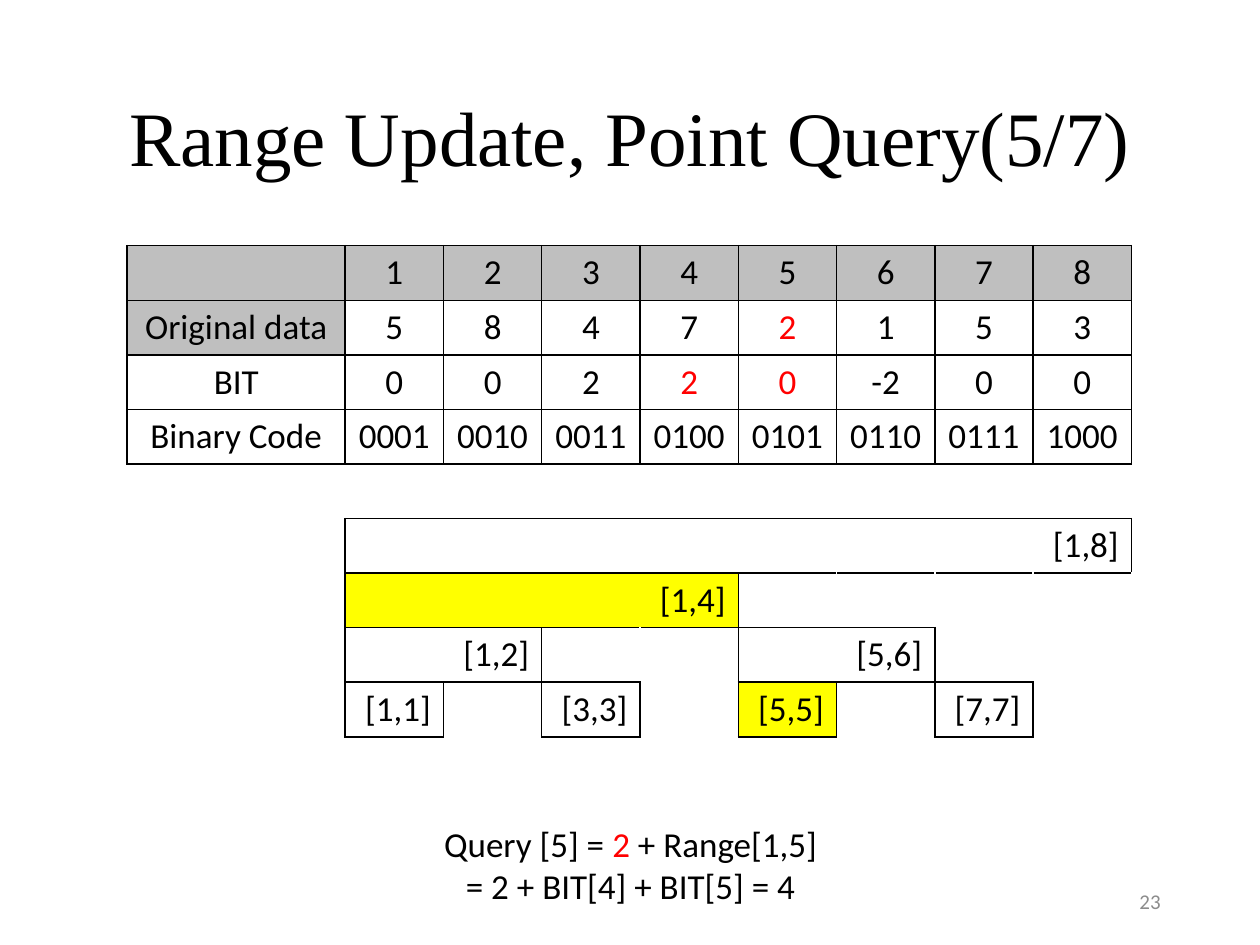
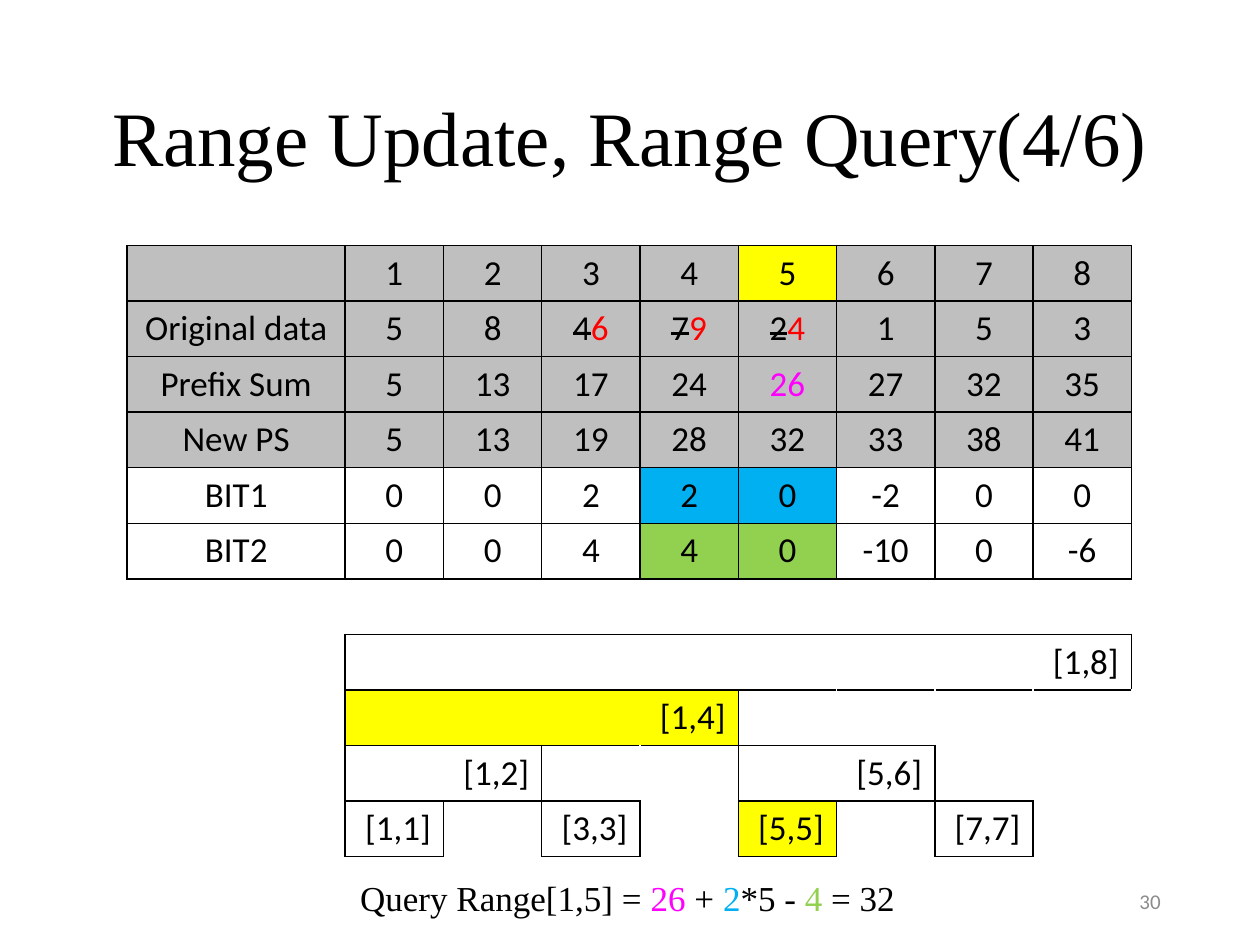
from dataclasses import dataclass

from lxml.etree import SubElement
from pptx import Presentation
from pptx.dml.color import RGBColor
from pptx.enum.text import MSO_ANCHOR, PP_ALIGN
from pptx.oxml.ns import qn
from pptx.util import Inches, Pt


@dataclass(frozen=True)
class Theme:
    black: str = "000000"
    white: str = "FFFFFF"
    grey: str = "BFBFBF"
    number_grey: str = "8C8C8C"
    red: str = "FF0000"
    magenta: str = "FF00FF"
    yellow: str = "FFFF00"
    blue: str = "00B0F0"
    green: str = "92D050"
    serif: str = "Times New Roman"
    sans: str = "Calibri"
    title_size: int = 44
    body_size: int = 20
    number_size: int = 12
    line_width: int = 1


THEME = Theme()
INDICES = "1 2 3 4 5 6 7 8"
N = len(INDICES.split())
LEVELS = N.bit_length()
QUERIED_NODES = {(1, 4), (5, 5)}


class Deck:
    def __init__(self, theme):
        self.theme = theme
        self.prs = Presentation()
        self.prs.slide_width, self.prs.slide_height = Inches(10), Inches(7.5)
        self.slide = None

    def add_slide(self, title, number):
        self.slide = self.prs.slides.add_slide(self.prs.slide_layouts[5])
        heading = self.slide.shapes.title
        heading.left, heading.top = Inches(0.69), Inches(0.4)
        heading.width, heading.height = Inches(8.62), Inches(1.45)
        heading.text_frame.vertical_anchor = MSO_ANCHOR.MIDDLE
        paragraph = heading.text_frame.paragraphs[0]
        paragraph.line_spacing = 0.9
        self.add_runs(paragraph, [(title,)], PP_ALIGN.CENTER,
                      self.theme.title_size, self.theme.serif)
        self.text((7.06, 6.95, 2.25, 0.4), [[(number, self.theme.number_grey)]],
                  PP_ALIGN.RIGHT, self.theme.number_size, anchor=MSO_ANCHOR.MIDDLE)

    def add_runs(self, paragraph, runs, align, size=None, font=None):
        """Each run is (text, colour, struck); the last two are optional."""
        paragraph.alignment = align
        for text, *style in runs:
            run = paragraph.add_run()
            run.text = text
            run.font.size = Pt(size or self.theme.body_size)
            run.font.name = font or self.theme.sans
            colour = style[0] if style else self.theme.black
            run.font.color.rgb = RGBColor.from_string(colour)
            if len(style) > 1 and style[1]:
                run._r.get_or_add_rPr().set("strike", "sngStrike")

    def text(self, box, lines, align, size=None, font=None, wrap=True, anchor=MSO_ANCHOR.TOP):
        frame = self.slide.shapes.add_textbox(*map(Inches, box)).text_frame
        frame.word_wrap = wrap
        frame.vertical_anchor = anchor
        for i, runs in enumerate(lines):
            paragraph = frame.add_paragraph() if i else frame.paragraphs[0]
            self.add_runs(paragraph, runs, align, size, font)

    def cell(self, cell, runs, align, fill):
        cell.margin_top = cell.margin_bottom = Inches(0.03)
        cell.vertical_anchor = MSO_ANCHOR.MIDDLE
        cell.fill.solid()
        cell.fill.fore_color.rgb = RGBColor.from_string(fill)
        self.add_runs(cell.text_frame.paragraphs[0], runs, align)

    def borders(self, cell, colours):
        """Colours go left, right, top, bottom; None means no line."""
        properties = cell._tc.get_or_add_tcPr()
        for i, (side, colour) in enumerate(zip("LRTB", colours)):
            line = SubElement(properties, qn(f"a:ln{side}"), w=str(Pt(self.theme.line_width)))
            if colour:
                SubElement(SubElement(line, qn("a:solidFill")), qn("a:srgbClr"), val=colour)
            else:
                SubElement(line, qn("a:noFill"))
            properties.insert(i, line)

    def index_table(self, height, data, fills, values):
        """Data rows, one gap row, then the tree of ranges in the same columns.

        fills and values override single cells, keyed by (row, column).
        """
        gap = len(data)
        row_count = gap + 1 + LEVELS
        table = self.slide.shapes.add_table(
            row_count, N + 1, Inches(1.01), Inches(1.95), Inches(7.97), Inches(height)).table
        table.first_row = table.horz_banding = False
        for i, column in enumerate(table.columns):
            column.width = Inches(0.78 if i else 1.73)

        # Data rows
        boxed = {(r, c) for r in range(gap) for c in range(N + 1)}
        for r, (label, numbers) in enumerate(data):
            for c, value in enumerate([label, *numbers.split()]):
                runs = values.get((r, c), [(value,)] if value else [])
                self.cell(table.cell(r, c), runs, PP_ALIGN.CENTER,
                          fills.get((r, c), self.theme.white))

        # Tree of ranges: each level halves the range length
        for level in range(LEVELS):
            r, length = gap + 1 + level, N >> level
            for first in range(1, N + 1, 2 * length):
                last = first + length - 1
                boxed |= {(r, c) for c in range(first, last + 1)}
                if length > 1:
                    table.cell(r, first).merge(table.cell(r, last))
                fill = self.theme.yellow if (first, last) in QUERIED_NODES else self.theme.white
                self.cell(table.cell(r, first), [(f"[{first},{last}]",)], PP_ALIGN.RIGHT, fill)

        # Black lines around boxes, white ones between the tree's empty cells
        for r in range(row_count):
            for c in range(N + 1):
                cell = table.cell(r, c)
                if (r, c) not in boxed:
                    self.cell(cell, [], PP_ALIGN.CENTER, self.theme.white)
                empty = self.theme.white if r > gap and c else None
                neighbours = [(r, c - 1), (r, c + 1), (r - 1, c), (r + 1, c)]
                self.borders(cell, [self.theme.black if {(r, c), place} & boxed else empty
                                    for place in neighbours])


def block(rows, columns, fill):
    return {(r, c): fill for r in rows for c in columns}


def point_query(deck):
    t = deck.theme
    deck.add_slide("Range Update, Point Query(5/7)", "23")
    deck.index_table(
        3.9,
        [("", INDICES),
         ("Original data", "5 8 4 7 2 1 5 3"),
         ("BIT", "0 0 2 2 0 -2 0 0"),
         ("Binary Code", " ".join(f"{i:04b}" for i in range(1, N + 1)))],
        block([0], range(N + 1), t.grey) | {(1, 0): t.grey},
        {(1, 5): [("2", t.red)], (2, 4): [("2", t.red)], (2, 5): [("0", t.red)]})
    deck.text((3.41, 6.48, 3.19, 0.77),
              [[("Query [5] = ",), ("2", t.red), (" + Range[1,5]",)],
               [("= 2 + BIT[4] + BIT[5] = 4",)]],
              PP_ALIGN.CENTER, wrap=False)


def range_query(deck):
    t = deck.theme
    deck.add_slide("Range Update, Range Query(4/6)", "30")
    updated = {3: ("4", "6"), 4: ("7", "9"), 5: ("2", "4")}
    values = {(1, c): [(old, t.black, True), (new, t.red)] for c, (old, new) in updated.items()}
    deck.index_table(
        4.85,
        [("", INDICES),
         ("Original data", "5 8 4 7 2 1 5 3"),
         ("Prefix Sum", "5 13 17 24 26 27 32 35"),
         ("New PS", "5 13 19 28 32 33 38 41"),
         ("BIT1", "0 0 2 2 0 -2 0 0"),
         ("BIT2", "0 0 4 4 0 -10 0 -6")],
        block(range(4), range(N + 1), t.grey) | {(0, 5): t.yellow}
        | block([4], [4, 5], t.blue) | block([5], [4, 5], t.green),
        values | {(2, 5): [("26", t.magenta)]})
    deck.text((2.76, 6.91, 4.48, 0.44),
              [[("Query Range[1,5] = ",), ("26", t.magenta), (" + ",), ("2", t.blue),
                ("*5 - ",), ("4", t.green), (" = 32",)]],
              PP_ALIGN.LEFT, font=t.serif, wrap=False)


def main():
    deck = Deck(THEME)
    point_query(deck)
    range_query(deck)
    deck.prs.save("out.pptx")


if __name__ == "__main__":
    main()
